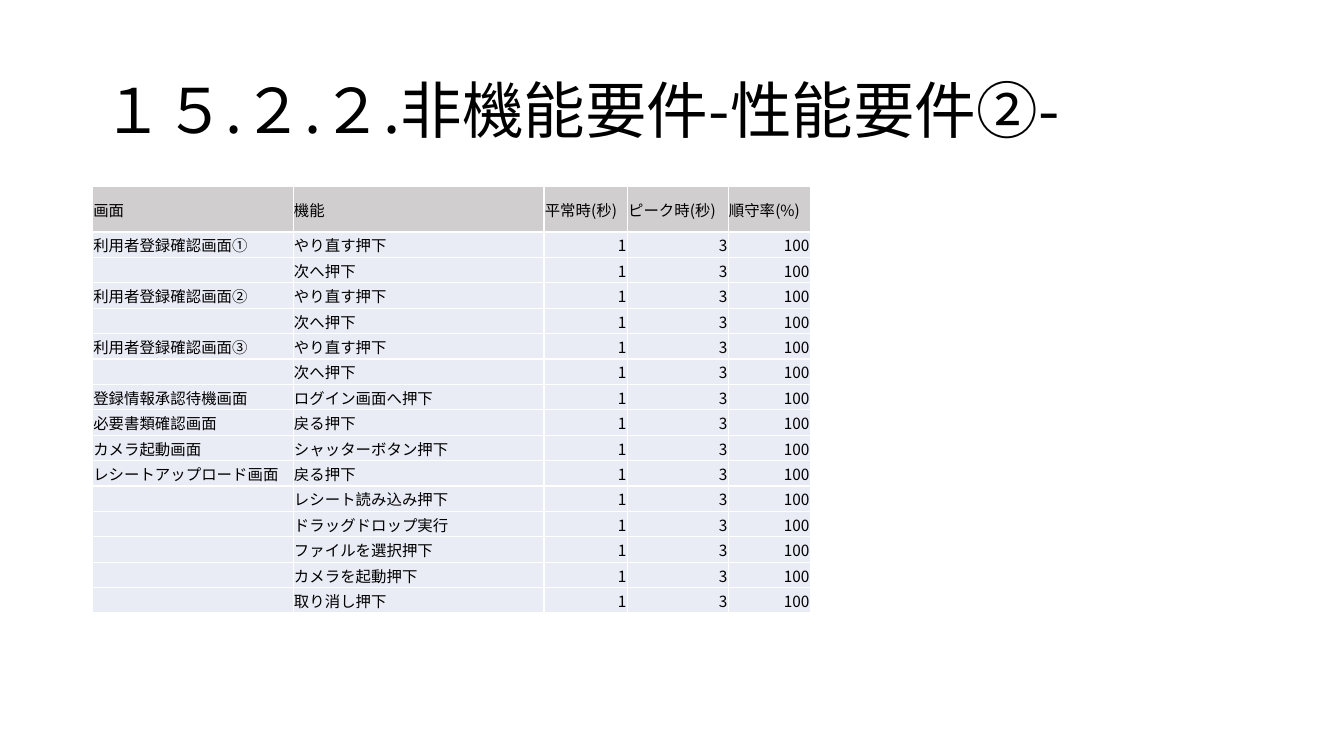
from dataclasses import dataclass

from lxml import etree
from pptx import Presentation
from pptx.dml.color import RGBColor
from pptx.enum.text import MSO_ANCHOR, MSO_AUTO_SIZE, PP_ALIGN
from pptx.oxml.ns import qn
from pptx.util import Cm, Pt

LEFT, RIGHT = PP_ALIGN.LEFT, PP_ALIGN.RIGHT
MIDDLE = MSO_ANCHOR.MIDDLE
NO_AUTOFIT = MSO_AUTO_SIZE.NONE
TITLE_ONLY = 5

TITLE = "１５.２.２.非機能要件-性能要件②-"
HEADERS = ("画面", "機能", "平常時(秒)", "ピーク時(秒)", "順守率(%)")
TARGETS = ("1", "3", "100")
SCREENS = {
    "利用者登録確認画面①": ("やり直す押下", "次へ押下"),
    "利用者登録確認画面②": ("やり直す押下", "次へ押下"),
    "利用者登録確認画面③": ("やり直す押下", "次へ押下"),
    "登録情報承認待機画面": ("ログイン画面へ押下",),
    "必要書類確認画面": ("戻る押下",),
    "カメラ起動画面": ("シャッターボタン押下",),
    "レシートアップロード画面": (
        "戻る押下",
        "レシート読み込み押下",
        "ドラッグドロップ実行",
        "ファイルを選択押下",
        "カメラを起動押下",
        "取り消し押下",
    ),
}


@dataclass(frozen=True)
class Theme:
    font: str = "Noto Sans CJK JP"
    title_size: int = 44
    cell_size: int = 11
    text: str = "000000"
    header: str = "D0CECE"
    body: str = "E9EBF5"
    border: str = "FFFFFF"


THEME = Theme()
MARGIN = Cm(2.33)
TITLE_TOP, TITLE_WIDTH, TITLE_HEIGHT = Cm(1.01), Cm(29.21), Cm(3.68)
TABLE_TOP = Cm(4.7)
COLUMN_WIDTHS = (Cm(5.06), Cm(6.32), Cm(2.1), Cm(2.54), Cm(2.07))
ROW_HEIGHT = Cm(0.64)
CELL_INSET = Cm(0.02)


def write(frame, text, *, size, align=LEFT, spacing=None):
    para = frame.paragraphs[0]
    para.alignment = align
    para.line_spacing = spacing
    if not text:
        etree.SubElement(para._p, qn("a:endParaRPr"), sz=str(size * 100))
        return
    span = para.add_run()
    span.text = text
    span.font.size = Pt(size)
    span.font.name = THEME.font
    span.font.color.rgb = RGBColor.from_string(THEME.text)
    etree.SubElement(span.font._element, qn("a:ea"), typeface=THEME.font)


def add_borders(cell):
    properties = cell._tc.get_or_add_tcPr()
    for side in ("a:lnL", "a:lnR", "a:lnT", "a:lnB"):
        line = etree.SubElement(properties, qn(side), w=str(Pt(1)))
        fill = etree.SubElement(line, qn("a:solidFill"))
        etree.SubElement(fill, qn("a:srgbClr"), val=THEME.border)


def format_cell(cell, text, *, fill, align):
    cell.margin_left = cell.margin_right = cell.margin_top = CELL_INSET
    cell.margin_bottom = 0
    cell.vertical_anchor = MIDDLE
    add_borders(cell)
    cell.fill.solid()
    cell.fill.fore_color.rgb = RGBColor.from_string(fill)
    write(cell.text_frame, text, size=THEME.cell_size, align=align)


def add_title(page):
    box = page.shapes.title
    box.left, box.top = MARGIN, TITLE_TOP
    box.width, box.height = TITLE_WIDTH, TITLE_HEIGHT
    frame = box.text_frame
    frame.word_wrap = True
    frame.auto_size = NO_AUTOFIT
    frame.vertical_anchor = MIDDLE
    write(frame, TITLE, size=THEME.title_size, spacing=0.9)


def add_requirements(page):
    rows = [HEADERS]
    for screen, actions in SCREENS.items():
        for index, action in enumerate(actions):
            rows.append(("" if index else screen, action, *TARGETS))
    table = page.shapes.add_table(
        len(rows), len(HEADERS), MARGIN, TABLE_TOP,
        sum(COLUMN_WIDTHS), ROW_HEIGHT * len(rows),
    ).table
    for column, width in zip(table.columns, COLUMN_WIDTHS):
        column.width = width
    for row_index, row in enumerate(rows):
        table.rows[row_index].height = ROW_HEIGHT
        for column_index, text in enumerate(row):
            format_cell(
                table.cell(row_index, column_index), text,
                fill=THEME.body if row_index else THEME.header,
                align=RIGHT if row_index and column_index > 1 else LEFT,
            )


def main():
    deck = Presentation()
    deck.slide_width, deck.slide_height = Cm(33.87), Cm(19.05)
    page = deck.slides.add_slide(deck.slide_layouts[TITLE_ONLY])
    add_title(page)
    add_requirements(page)
    deck.save("out.pptx")


if __name__ == "__main__":
    main()
